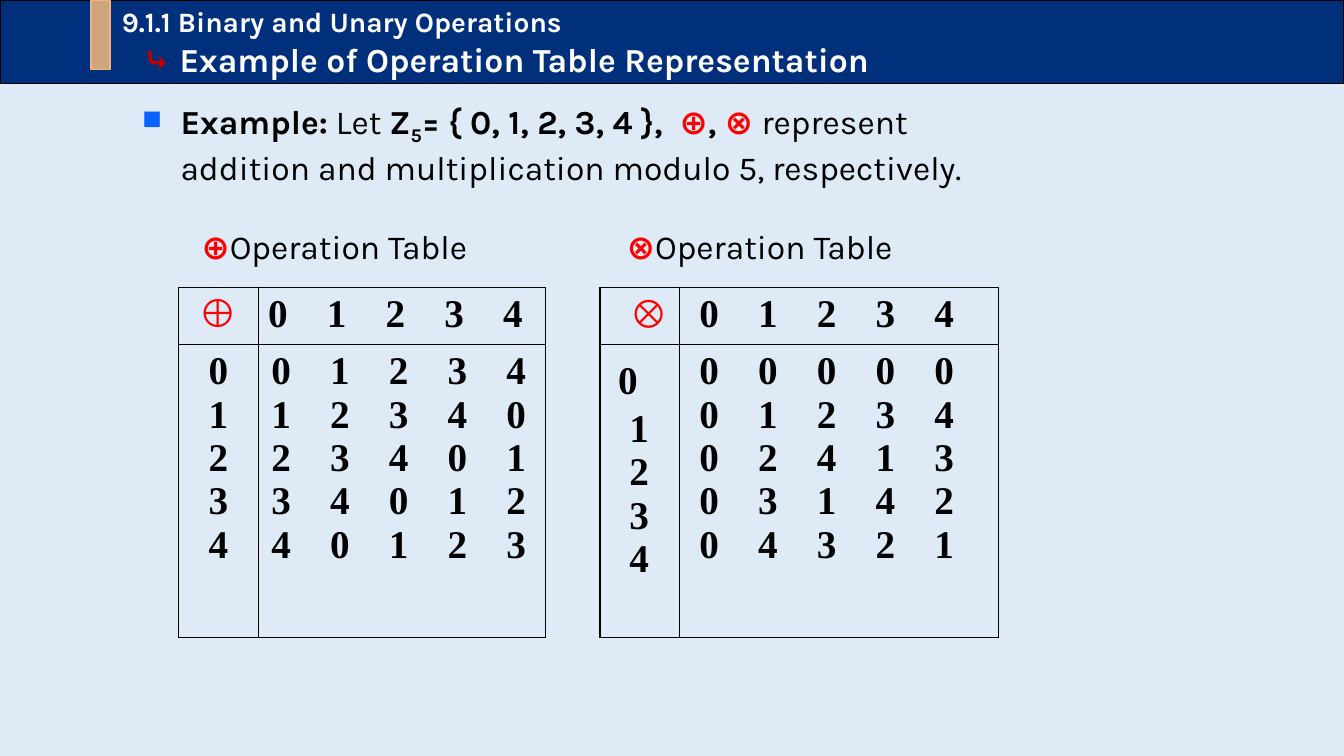
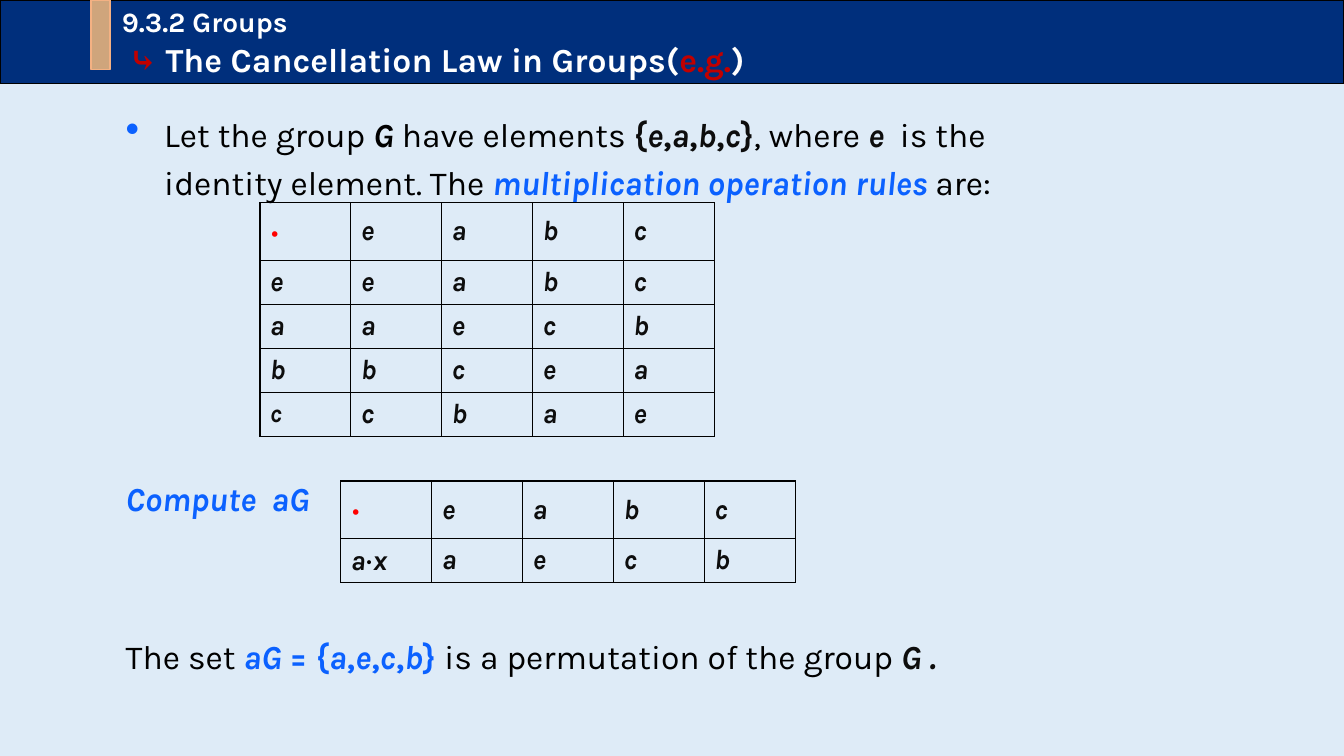
"""Builds two lecture slides on operation tables and the cancellation law."""
from dataclasses import dataclass
from itertools import groupby
from typing import Optional, Sequence

from lxml.etree import SubElement
from pptx import Presentation
from pptx.dml.color import RGBColor
from pptx.enum.shapes import MSO_SHAPE
from pptx.enum.text import MSO_ANCHOR, PP_ALIGN
from pptx.oxml.ns import qn
from pptx.util import Cm, Pt

BLACK = RGBColor(0x00, 0x00, 0x00)
INK = RGBColor(0x0D, 0x0D, 0x0D)
WHITE = RGBColor(0xFF, 0xFF, 0xFF)
RED = RGBColor(0xFF, 0x00, 0x00)
DARK_RED = RGBColor(0xC0, 0x00, 0x00)
BLUE = RGBColor(0x0B, 0x61, 0xFF)
NAVY = RGBColor(0x00, 0x2F, 0x7C)
TAN = RGBColor(0xCF, 0xA5, 0x7C)
PEACH = RGBColor(0xF4, 0xB1, 0x83)
PALE_BLUE = RGBColor(0xDE, 0xEB, 0xF7)

SLIDE_WIDTH, SLIDE_HEIGHT = Cm(33.87), Cm(19.05)
TEXT_FONT, DIGIT_FONT, DOT_FONT = "Karla", "Times New Roman", "Calibri"
PLAIN_TABLE_STYLE = "{2D5ABB26-0587-4C30-8999-92F81FD0307C}"
DIGIT_PITCH = 1.48
HANGING = Cm(0.97)
ALL_SIDES = "LRTB"


@dataclass(frozen=True)
class Part:
    text: str
    color: RGBColor = BLACK
    bold: bool = False
    italic: bool = False
    font: str = TEXT_FONT
    size: float = 24
    baseline: int = 0


@dataclass(frozen=True)
class Bullet:
    character: str
    percent: int


@dataclass(frozen=True)
class OperationTable:
    symbol: str
    column: int
    rows: Sequence[str]
    symbol_margin: float
    header_margin: float
    body_margin: float
    centered: bool


@dataclass(frozen=True)
class LetterTable:
    left: float
    top: float
    rows: Sequence[str]


LETTER_TABLES = (
    LetterTable(6.55, 5.11, ("·eabc", "eeabc", "aaecb", "bbcea", "ccbae")),
    LetterTable(8.59, 12.12, ("·eabc", "xaecb")),
)
OPERATION_TABLES = (
    OperationTable("⊕", 0, ("01234", "12340", "23401", "34012", "40123"), 0.25, 0.25, 0.33, True),
    OperationTable("⊗", 3, ("00000", "01234", "02413", "03142", "04321"), 0.75, 0.5, 0.5, False),
)


def write_parts(paragraph, parts: Sequence[Part]) -> None:
    for part in parts:
        run = paragraph.add_run()
        run.text = part.text
        font = run.font
        font.name, font.size = part.font, Pt(part.size)
        font.bold, font.italic = part.bold, part.italic
        font.color.rgb = part.color
        if part.baseline:
            font._element.set("baseline", str(part.baseline * 1000))


def set_indent(paragraph, left: int, first: int = 0) -> None:
    properties = paragraph._p.get_or_add_pPr()
    properties.set("marL", str(left))
    properties.set("indent", str(first))


def add_tabs(paragraph, positions: Sequence[float]) -> None:
    tab_list = SubElement(paragraph._p.get_or_add_pPr(), qn("a:tabLst"))
    for position in positions:
        SubElement(tab_list, qn("a:tab"), pos=str(Cm(position)), algn="l")


def add_bullet(paragraph, bullet: Bullet) -> None:
    set_indent(paragraph, HANGING, -HANGING)
    properties = paragraph._p.get_or_add_pPr()
    color = SubElement(properties, qn("a:buClr"))
    SubElement(color, qn("a:srgbClr"), val=str(BLUE))
    SubElement(properties, qn("a:buSzPct"), val=str(bullet.percent * 1000))
    SubElement(properties, qn("a:buChar"), char=bullet.character)


def add_rectangle(slide, left: float, width: float, height: float, fill: RGBColor, line: RGBColor):
    shape = slide.shapes.add_shape(MSO_SHAPE.RECTANGLE, Cm(left), 0, Cm(width), Cm(height))
    shape.shadow.inherit = False
    shape.fill.solid()
    shape.fill.fore_color.rgb = fill
    shape.line.color.rgb = line
    shape.line.width = Pt(1)
    return shape


def add_titled_slide(presentation, section: str, title: Sequence[Part], title_indent: float):
    slide = presentation.slides.add_slide(presentation.slide_layouts[6])
    slide.background.fill.solid()
    slide.background.fill.fore_color.rgb = PALE_BLUE
    text_frame = add_rectangle(slide, 0, 33.87, 2.11, NAVY, BLACK).text_frame
    text_frame.vertical_anchor = MSO_ANCHOR.MIDDLE
    arrow = Part("⤷ ", DARK_RED, bold=True)
    lines = (
        (2.82, [Part(section, WHITE, bold=True, size=20)]),
        (title_indent, [arrow, *title]),
    )
    for index, (indent, parts) in enumerate(lines):
        paragraph = text_frame.add_paragraph() if index else text_frame.paragraphs[0]
        paragraph.alignment = PP_ALIGN.LEFT
        set_indent(paragraph, Cm(indent))
        write_parts(paragraph, parts)
    add_rectangle(slide, 2.29, 0.48, 1.75, TAN, PEACH)
    return slide


def add_text(slide, left: float, top: float, width: float, height: float,
             parts: Sequence[Part], bullet: Optional[Bullet] = None, spacing: float = 1.0):
    box = slide.shapes.add_textbox(Cm(left), Cm(top), Cm(width), Cm(height))
    text_frame = box.text_frame
    text_frame.word_wrap = True
    paragraph = text_frame.paragraphs[0]
    paragraph.line_spacing = spacing
    if bullet:
        add_bullet(paragraph, bullet)
    write_parts(paragraph, parts)
    return text_frame


def style_cell(cell, sides: str = ALL_SIDES) -> None:
    properties = cell._tc.get_or_add_tcPr()
    for side in ALL_SIDES:
        line = SubElement(properties, qn(f"a:ln{side}"), w=str(Pt(1)))
        if side in sides:
            fill = SubElement(line, qn("a:solidFill"))
            SubElement(fill, qn("a:srgbClr"), val=str(BLACK))
        else:
            SubElement(line, qn("a:noFill"))
    cell.fill.background()


def add_plain_table(slide, left: float, top: float, widths: Sequence[float], heights: Sequence[float]):
    frame = slide.shapes.add_table(len(heights), len(widths), Cm(left), Cm(top),
                                   Cm(sum(widths)), Cm(sum(heights)))
    table = frame.table
    table.first_row = table.horz_banding = False
    table._tbl.tblPr.find(qn("a:tableStyleId")).text = PLAIN_TABLE_STYLE
    for column, width in zip(table.columns, widths):
        column.width = Cm(width)
    for row, height in zip(table.rows, heights):
        row.height = Cm(height)
    return table


def write_digits(cell, lines: Sequence[str], margin: float,
                 color: RGBColor = BLACK, centered: bool = False) -> None:
    cell.margin_left = Cm(margin)
    for index, line in enumerate(lines):
        paragraph = cell.text_frame.add_paragraph() if index else cell.text_frame.paragraphs[0]
        if centered:
            paragraph.alignment = PP_ALIGN.CENTER
        if len(line) > 1:
            add_tabs(paragraph, [DIGIT_PITCH * step for step in range(1, len(line))])
        write_parts(paragraph, [Part("\t".join(line), color, True, font=DIGIT_FONT, size=28)])


def fill_operation_table(table, operation: OperationTable) -> None:
    first, second = operation.column, operation.column + 1
    write_digits(table.cell(0, first), [operation.symbol], operation.symbol_margin, RED, operation.centered)
    write_digits(table.cell(0, second), ["01234"], operation.header_margin)
    labels = table.cell(1, first)
    write_digits(labels, "01234", 0.25 if operation.centered else 0.46, centered=operation.centered)
    if not operation.centered:
        labels.margin_top = Cm(0.38)
        top_label, *other_labels = labels.text_frame.paragraphs
        top_label.space_after = Pt(3)
        for paragraph in other_labels:
            set_indent(paragraph, Cm(0.28))
    write_digits(table.cell(1, second), operation.rows, operation.body_margin)


def letter_parts(letter: str, row: int, column: int) -> list[Part]:
    if letter == "·":
        return [Part(letter, RED, font=DOT_FONT, size=28)]
    if letter == "x":
        return [*letter_parts("a", row, column), Part("·", font=DOT_FONT, size=20),
                Part("x", INK, True, True, size=20)]
    return [Part(letter, INK, True, True, size=18 if (row, column) == (4, 0) else 20)]


def add_letter_table(slide, layout: LetterTable) -> None:
    heights = [1.45] + [1.11] * (len(layout.rows) - 1)
    table = add_plain_table(slide, layout.left, layout.top, [2.29] * 5, heights)
    for row, letters in enumerate(layout.rows):
        for column, letter in enumerate(letters):
            cell = table.cell(row, column)
            style_cell(cell)
            cell.vertical_anchor = MSO_ANCHOR.MIDDLE
            write_parts(cell.text_frame.paragraphs[0], letter_parts(letter, row, column))


def set_parts(text: str, color: RGBColor) -> list[Part]:
    return [Part("".join(group), color, True, is_letter)
            for is_letter, group in groupby(text, str.isalpha)]


def build_operation_slide(presentation) -> None:
    title = [Part("Example of Operation Table Representation", WHITE, True)]
    slide = add_titled_slide(presentation, "9.1.1 Binary and Unary Operations", title, 3.35)
    text_frame = add_text(slide, 3.33, 2.41, 22.99, 4.37, [
        Part("Example:", bold=True), Part(" Let "), Part("Z", bold=True),
        Part("5", bold=True, baseline=-25), Part("= { 0, 1, 2, 3, 4 },  ", bold=True),
        Part("⊕", RED, True), Part(", ", bold=True), Part("⊗ ", RED, True),
        Part("represent addition and multiplication modulo 5, respectively."),
    ], Bullet("■", 80))
    captions = text_frame.add_paragraph()
    captions.space_before = Pt(28)
    add_tabs(captions, (1.5, 12.22))
    for operation in OPERATION_TABLES:
        write_parts(captions, [Part(f"\t{operation.symbol}", RED, True), Part("Operation Table")])

    table = add_plain_table(slide, 4.5, 7.24, (2.01, 7.24, 1.37, 2.01, 8.03), (1.45, 7.37))
    for row in range(2):
        for column in range(5):
            style_cell(table.cell(row, column), "LR" if column == 2 else ALL_SIDES)
    table.cell(0, 2).merge(table.cell(1, 2))
    for operation in OPERATION_TABLES:
        fill_operation_table(table, operation)


def build_group_slide(presentation) -> None:
    title = [Part("The Cancellation Law in Groups(", WHITE, True),
             Part("e.g.", DARK_RED, True), Part(")", WHITE, True)]
    slide = add_titled_slide(presentation, "9.3.2 Groups", title, 3.0)
    add_text(slide, 2.92, 2.54, 24.82, 2.6, [
        Part("Let the group "), Part("G", bold=True, italic=True), Part(" have elements "),
        *set_parts("{e,a,b,c}", INK), Part(", where "), Part("e ", INK, True, True),
        Part(" is the identity element. The "),
        Part("multiplication operation rules ", BLUE, True, True), Part("are:"),
    ], Bullet("•", 120), 1.2)
    add_text(slide, 2.92, 11.71, 5.5, 1.45, [Part("Compute  aG", BLUE, True, True)], spacing=1.2)
    add_text(slide, 2.92, 15.7, 24.82, 1.45, [
        Part("The set "), Part("aG ", BLUE, True, True), *set_parts("= {a,e,c,b} ", BLUE),
        Part("is a permutation of the group "), Part("G .", INK, True, True),
    ], spacing=1.2)
    for layout in LETTER_TABLES:
        add_letter_table(slide, layout)


def main() -> None:
    presentation = Presentation()
    presentation.slide_width, presentation.slide_height = SLIDE_WIDTH, SLIDE_HEIGHT
    build_operation_slide(presentation)
    build_group_slide(presentation)
    presentation.save("out.pptx")


if __name__ == "__main__":
    main()
